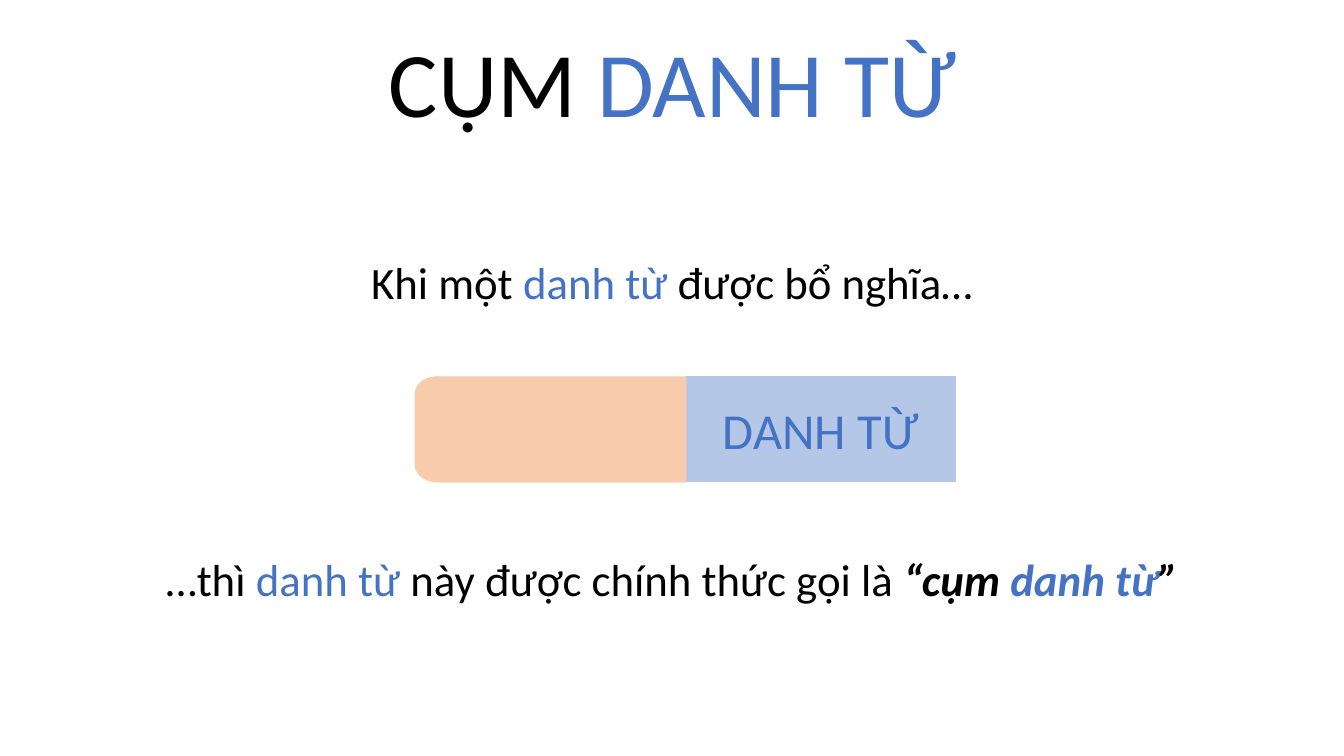
from dataclasses import dataclass
from math import cos, pi, sin

from pptx import Presentation
from pptx import util as u
from pptx.dml.color import RGBColor
from pptx.enum import shapes, text


@dataclass(frozen=True)
class Theme:
    font: str = "Calibri"
    ink: str = "000000"
    noun: str = "4472C4"
    noun_fill: str = "B4C7E7"
    modifier_fill: str = "F8CBAD"
    title_size: int = 66
    label_size: int = 36
    body_size: int = 32
    outline: int = 1


@dataclass(frozen=True)
class Box:
    left: float
    top: float
    width: float
    height: float

    def emu(self):
        return [u.Inches(v) for v in (self.left, self.top, self.width, self.height)]

    def column(self, index, count):
        width = self.width / count
        return Box(self.left + index * width, self.top, width, self.height)


THEME = Theme()
WIDTH, HEIGHT = 13.33, 7.5
TITLE_BOX = Box(1.67, 0.32, 10, 1.25)
CONDITION_BOX = Box(1.47, 2.48, 10.39, 0.64)
PHRASE_BOX = Box(4.12, 3.74, 5.36, 1.04)
CONCLUSION_BOX = Box(1.47, 5.42, 10.39, 0.64)


def write_runs(frame, runs, size):
    """Fill the frame with one centred line of (text, colour, emphasis) runs."""
    frame.word_wrap = True
    paragraph = frame.paragraphs[0]
    paragraph.alignment = text.PP_ALIGN.CENTER
    for words, colour, emphasis in runs:
        run = paragraph.add_run()
        run.text = words
        run.font.name = THEME.font
        run.font.size = u.Pt(size)
        run.font.color.rgb = RGBColor.from_string(colour)
        run.font.bold = run.font.italic = emphasis
    return paragraph


def paint(shape, colour):
    shape.shadow.inherit = False
    shape.fill.solid()
    shape.fill.fore_color.rgb = RGBColor.from_string(colour)
    shape.line.color.rgb = RGBColor.from_string(colour)
    shape.line.width = u.Pt(THEME.outline)


def place_title(slide, box, runs):
    title = slide.shapes.title
    title.left, title.top, title.width, title.height = box.emu()
    frame = title.text_frame
    frame.auto_size = text.MSO_AUTO_SIZE.NONE
    frame.vertical_anchor = text.MSO_ANCHOR.TOP
    paragraph = write_runs(frame, runs, THEME.title_size)
    paragraph.line_spacing = 0.9
    paragraph.space_before = u.Pt(10)


def add_sentence(slide, box, runs):
    frame = slide.shapes.add_textbox(*box.emu()).text_frame
    write_runs(frame, runs, THEME.body_size)
    frame.auto_size = text.MSO_AUTO_SIZE.SHAPE_TO_FIT_TEXT


def add_modifier(slide, box, radius_x=0.22, radius_y=0.17, steps=16):
    """Add a block whose two left corners are rounded."""
    right, bottom = box.left + box.width, box.top + box.height
    angles = [pi / 2 * step / steps for step in range(steps + 1)]
    lower = [(box.left + radius_x * (1 - sin(a)), bottom - radius_y * (1 - cos(a)))
             for a in angles]
    upper = [(x, box.top + bottom - y) for x, y in reversed(lower)]
    outline = [(u.Inches(x), u.Inches(y))
               for x, y in [(right, box.top), (right, bottom), *lower, *upper]]
    builder = slide.shapes.build_freeform(*outline[0])
    builder.add_line_segments(outline[1:], close=True)
    paint(builder.convert_to_shape(), THEME.modifier_fill)


def add_noun(slide, box, runs):
    shape = slide.shapes.add_shape(shapes.MSO_SHAPE.RECTANGLE, *box.emu())
    paint(shape, THEME.noun_fill)
    shape.text_frame.vertical_anchor = text.MSO_ANCHOR.MIDDLE
    write_runs(shape.text_frame, runs, THEME.label_size)


def add_phrase(slide, box):
    add_noun(slide, box.column(1, 2), [("DANH TỪ", THEME.noun, False)])
    add_modifier(slide, box.column(0, 2))


def build_noun_phrase_slide(presentation):
    slide = presentation.slides.add_slide(presentation.slide_layouts[5])
    ink, noun = THEME.ink, THEME.noun
    place_title(slide, TITLE_BOX, [("CỤM ", ink, False), ("DANH TỪ", noun, False)])
    add_sentence(slide, CONDITION_BOX, [
        ("Khi một ", ink, False),
        ("danh từ ", noun, False),
        ("được bổ nghĩa…", ink, False),
    ])
    add_phrase(slide, PHRASE_BOX)
    add_sentence(slide, CONCLUSION_BOX, [
        ("…thì ", ink, False),
        ("danh từ ", noun, False),
        ("này được chính thức gọi là ", ink, False),
        ("“cụm ", ink, True),
        ("danh từ", noun, True),
        ("”", ink, True),
    ])


def main():
    presentation = Presentation()
    presentation.slide_width = u.Inches(WIDTH)
    presentation.slide_height = u.Inches(HEIGHT)
    build_noun_phrase_slide(presentation)
    presentation.save("out.pptx")


if __name__ == "__main__":
    main()
